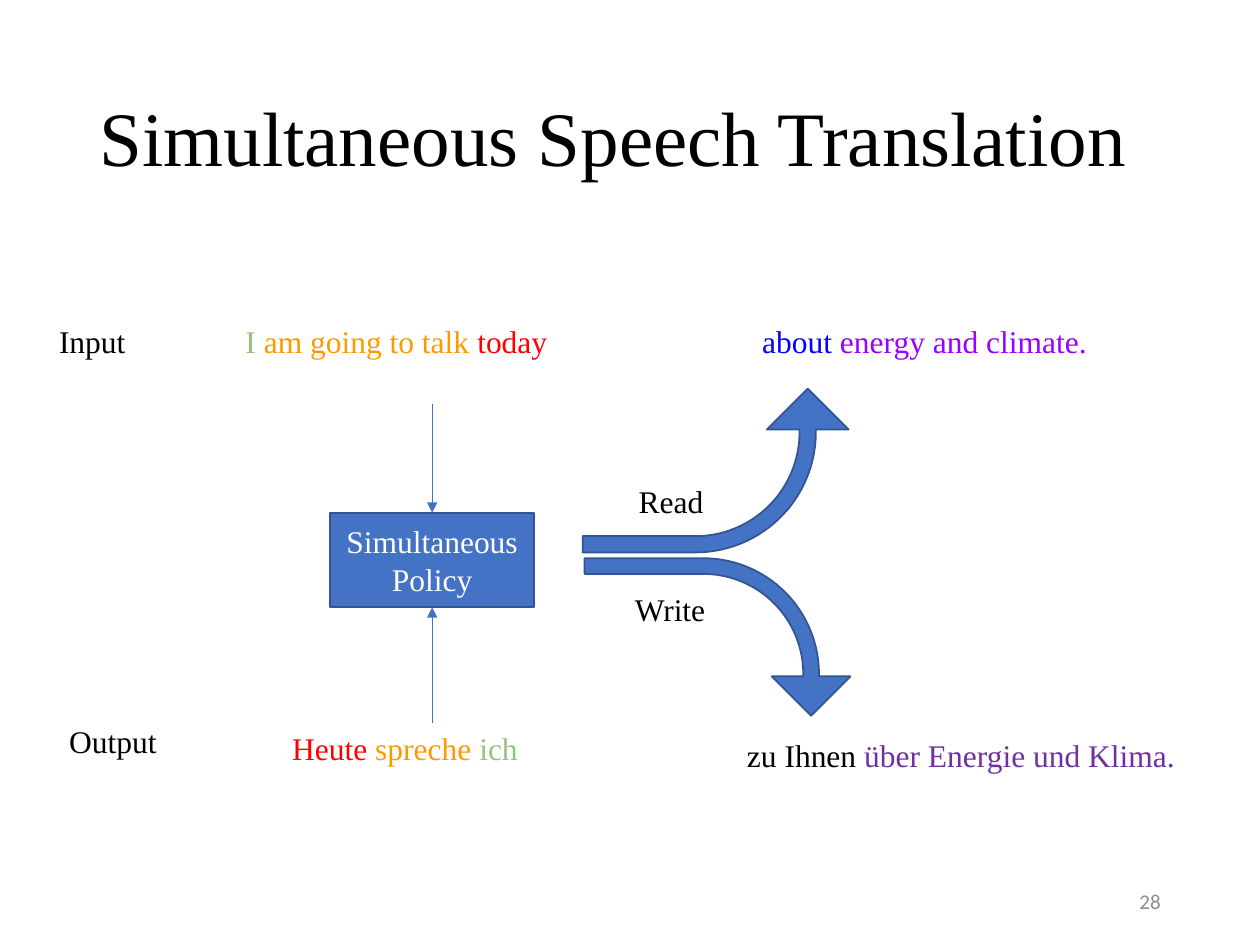
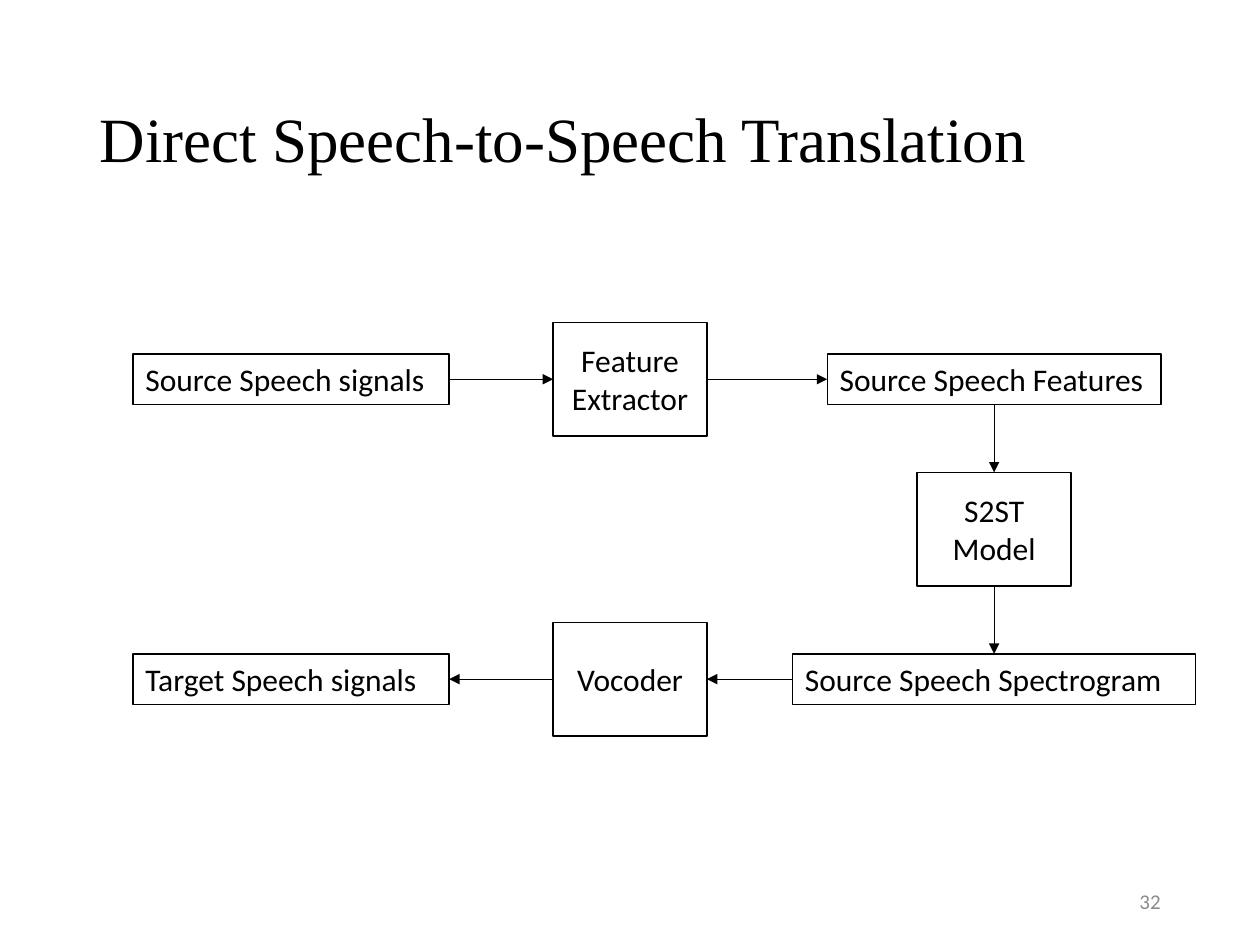
import dataclasses

import pptx
import pptx.dml.color
import pptx.enum.shapes
import pptx.enum.text
import pptx.oxml.ns
import pptx.util

Inches = pptx.util.Inches
Pt = pptx.util.Pt
qn = pptx.oxml.ns.qn
Align = pptx.enum.text.PP_ALIGN
Anchor = pptx.enum.text.MSO_ANCHOR
Fit = pptx.enum.text.MSO_AUTO_SIZE
Shape = pptx.enum.shapes.MSO_SHAPE
Line = pptx.enum.shapes.MSO_CONNECTOR


@dataclasses.dataclass(frozen=True)
class Theme:
    serif: str = "Times New Roman"
    sans: str = "Calibri"
    black: str = "000000"
    white: str = "FFFFFF"
    gray: str = "8C8C8C"
    fill: str = "4472C4"
    edge: str = "325491"
    red: str = "FF0000"
    orange: str = "FF9900"
    green: str = "93C47D"
    blue: str = "0000FF"
    violet: str = "9900FF"
    purple: str = "7030A0"
    head: int = 44
    subhead: int = 36
    body: int = 18
    small: int = 12
    thick: float = 1
    medium: float = 0.75
    thin: float = 0.5


THEME = Theme()
TOP, LEFT, BOTTOM, RIGHT = range(4)  # connection sites of a rectangle


def rgb(code):
    return pptx.dml.color.RGBColor.from_string(code)


def add_run(para, text, size, font, color):
    run = para.add_run()
    run.text = text
    run.font.size = Pt(size)
    run.font.name = font
    run.font.color.rgb = rgb(color)


def add_title(slide, text, size):
    title = slide.shapes.title
    title.left, title.top = Inches(0.69), Inches(0.4)
    title.width, title.height = Inches(8.62), Inches(1.45)
    frame = title.text_frame
    frame.auto_size = Fit.NONE
    frame.vertical_anchor = Anchor.MIDDLE
    para = frame.paragraphs[0]
    para.alignment = Align.LEFT
    para.line_spacing = 0.9
    add_run(para, text, size, THEME.serif, THEME.black)


def add_text(slide, left, top, width):
    """Add an empty text box of one line and return its frame."""
    box = slide.shapes.add_textbox(Inches(left), Inches(top), Inches(width), Inches(0.4))
    frame = box.text_frame
    frame.word_wrap = True
    return frame


def add_number(slide, text):
    frame = add_text(slide, 7.06, 6.95, 2.25)
    frame.vertical_anchor = Anchor.MIDDLE
    para = frame.paragraphs[0]
    para.alignment = Align.RIGHT
    add_run(para, text, THEME.small, THEME.sans, THEME.gray)


def new_slide(deck, title, size, number):
    slide = deck.slides.add_slide(deck.slide_layouts[5])
    add_title(slide, title, size)
    add_number(slide, number)
    return slide


def add_label(slide, left, top, width, *parts):
    """Add one line of text from (text, color) parts."""
    frame = add_text(slide, left, top, width)
    for text, color in parts:
        add_run(frame.paragraphs[0], text, THEME.body, THEME.serif, color)


def add_form(slide, kind, left, top, width, height, fill, edge, weight):
    form = slide.shapes.add_shape(
        kind, Inches(left), Inches(top), Inches(width), Inches(height))
    form.shadow.inherit = False
    if fill:
        form.fill.solid()
        form.fill.fore_color.rgb = rgb(fill)
    else:
        form.fill.background()
    form.line.color.rgb = rgb(edge)
    form.line.width = Pt(weight)
    return form


def fill_text(form, lines, font, color, align, anchor):
    frame = form.text_frame
    frame.word_wrap = True
    frame.vertical_anchor = anchor
    for i, text in enumerate(lines):
        para = frame.add_paragraph() if i else frame.paragraphs[0]
        para.alignment = align
        add_run(para, text, THEME.body, font, color)


def add_arrow(slide, start, end, color):
    points = [Inches(value) for value in (*start, *end)]
    arrow = slide.shapes.add_connector(Line.STRAIGHT, *points)
    arrow.line.color.rgb = rgb(color)
    arrow.line.width = Pt(THEME.thin)
    props = arrow.element.spPr
    line = props.find(qn("a:ln"))
    line.append(line.makeelement(qn("a:tailEnd"), {"type": "triangle"}))
    props.append(props.makeelement(qn("a:effectLst"), {}))
    return arrow


def link(slide, source, out, target, into):
    """Join two boxes with an arrow between their connection sites."""
    arrow = add_arrow(slide, (0, 0), (1, 1), THEME.black)
    arrow.begin_connect(source, out)
    arrow.end_connect(target, into)


def add_bend(slide, left, top, width, height, flips):
    bend = add_form(slide, Shape.BENT_ARROW, left, top, width, height,
                    THEME.fill, THEME.edge, THEME.thick)
    bend.rotation = 270
    for i, value in enumerate((0.1, 0.25, 0.25, 0.735)):
        bend.adjustments[i] = value
    for flip in flips:
        bend.element.spPr.find(qn("a:xfrm")).set(flip, "1")


def add_step(slide, x, y, *lines):
    """Add a process box centred on (x, y)."""
    width, height = 1.22, 0.9
    step = add_form(slide, Shape.RECTANGLE, x - width / 2, y - height / 2,
                    width, height, None, THEME.black, THEME.thick)
    fill_text(step, lines, THEME.sans, THEME.black, Align.CENTER, Anchor.MIDDLE)
    return step


def add_data(slide, x, y, width, text):
    """Add a data box centred on (x, y)."""
    height = 0.4
    data = add_form(slide, Shape.RECTANGLE, x - width / 2, y - height / 2,
                    width, height, None, THEME.black, THEME.medium)
    fill_text(data, [text], THEME.sans, THEME.black, Align.LEFT, Anchor.TOP)
    return data


def draw_policy(deck):
    t = THEME
    slide = new_slide(deck, "Simultaneous Speech Translation", t.head, "28")
    labels = [
        (0.37, 2.51, 0.85, ("Input", t.black)),
        (1.85, 2.51, 3.16, ("I ", t.green), ("am going to talk", t.orange),
         (" today", t.red)),
        (5.95, 2.51, 2.95, ("about ", t.blue), ("energy and climate.", t.violet)),
        (0.45, 5.68, 1.05, ("Output", t.black)),
        (2.22, 5.74, 2.41, ("Heute ", t.red), ("spreche ", t.orange),
         ("ich", t.green)),
        (5.83, 5.79, 3.75, ("zu Ihnen ", t.black),
         ("über Energie und Klima.", t.purple)),
        (4.97, 3.78, 0.85, ("Read", t.black)),
        (4.94, 4.63, 0.85, ("Write", t.black)),
    ]
    for label in labels:
        add_label(slide, *label)
    box = add_form(slide, Shape.RECTANGLE, 2.62, 4.07, 1.62, 0.75,
                   t.fill, t.edge, t.thick)
    fill_text(box, ["Simultaneous Policy"], t.serif, t.white,
              Align.CENTER, Anchor.MIDDLE)
    for start, end, site in ((3.21, 4.07, TOP), (5.74, 4.82, BOTTOM)):
        arrow = add_arrow(slide, (3.43, start), (3.43, end), t.fill)
        arrow.end_connect(box, site)
    add_bend(slide, 5.03, 2.68, 1.3, 2.11, ["flipV"])
    add_bend(slide, 5.07, 4, 1.25, 2.11, ["flipH", "flipV"])


def draw_direct(deck):
    slide = new_slide(deck, "Direct Speech-to-Speech Translation",
                      THEME.subhead, "32")
    west, mid, east = 2.31, 5, 7.89
    first, second, third = (3.01 + 1.19 * row for row in range(3))
    source = add_data(slide, west, first, 2.51, "Source Speech signals")
    feature = add_step(slide, mid, first, "Feature", "Extractor")
    traits = add_data(slide, east, first, 2.65, "Source Speech Features")
    model = add_step(slide, east, second, "S2ST Model")
    spectrum = add_data(slide, east, third, 3.2, "Source Speech Spectrogram")
    coder = add_step(slide, mid, third, "Vocoder")
    target = add_data(slide, west, third, 2.51, "Target Speech signals")
    link(slide, source, RIGHT, feature, LEFT)
    link(slide, feature, RIGHT, traits, LEFT)
    link(slide, traits, BOTTOM, model, TOP)
    link(slide, model, BOTTOM, spectrum, TOP)
    link(slide, spectrum, LEFT, coder, RIGHT)
    link(slide, coder, LEFT, target, RIGHT)


def main():
    deck = pptx.Presentation()
    deck.slide_width, deck.slide_height = Inches(10), Inches(7.5)
    draw_policy(deck)
    draw_direct(deck)
    deck.save("out.pptx")


if __name__ == "__main__":
    main()
